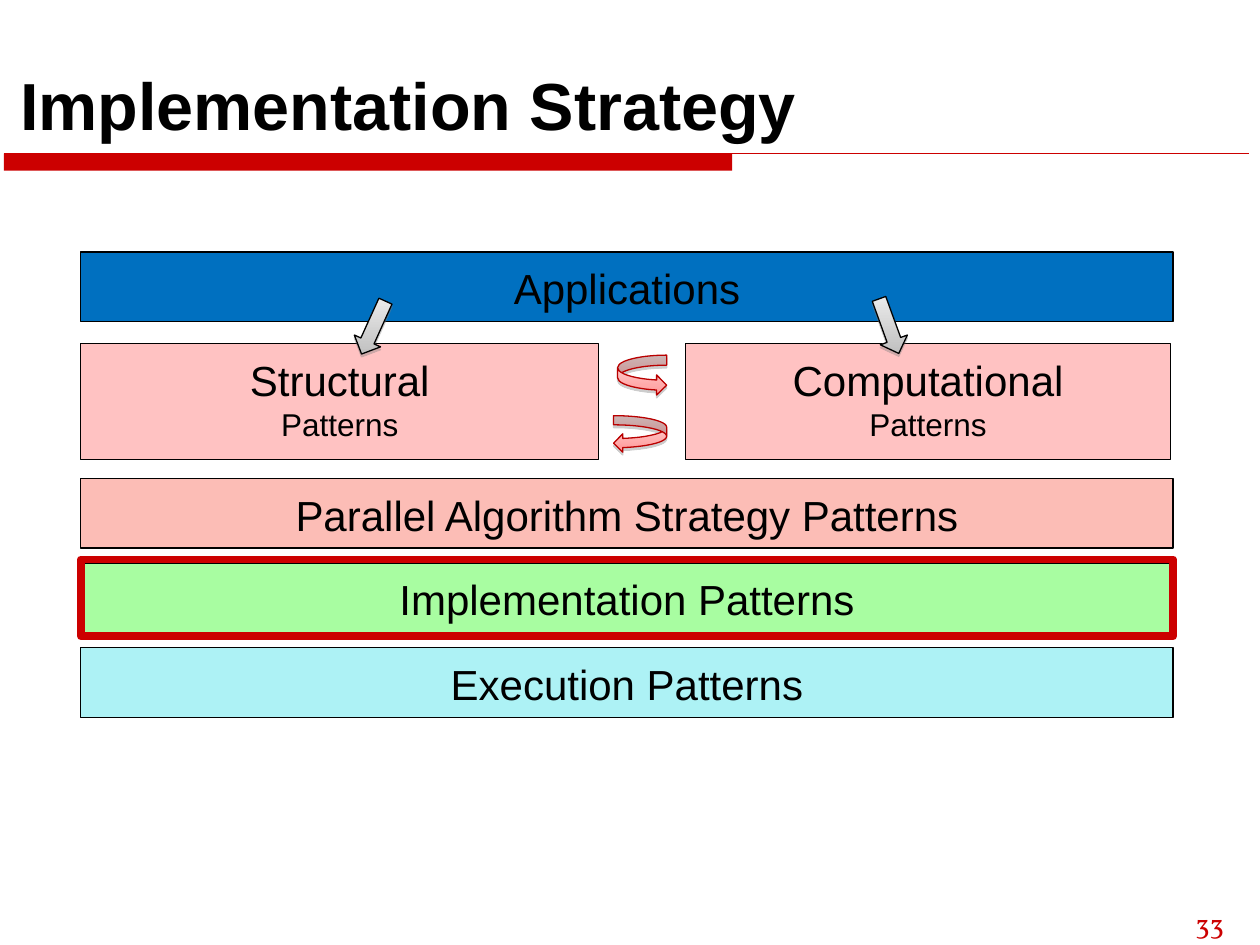
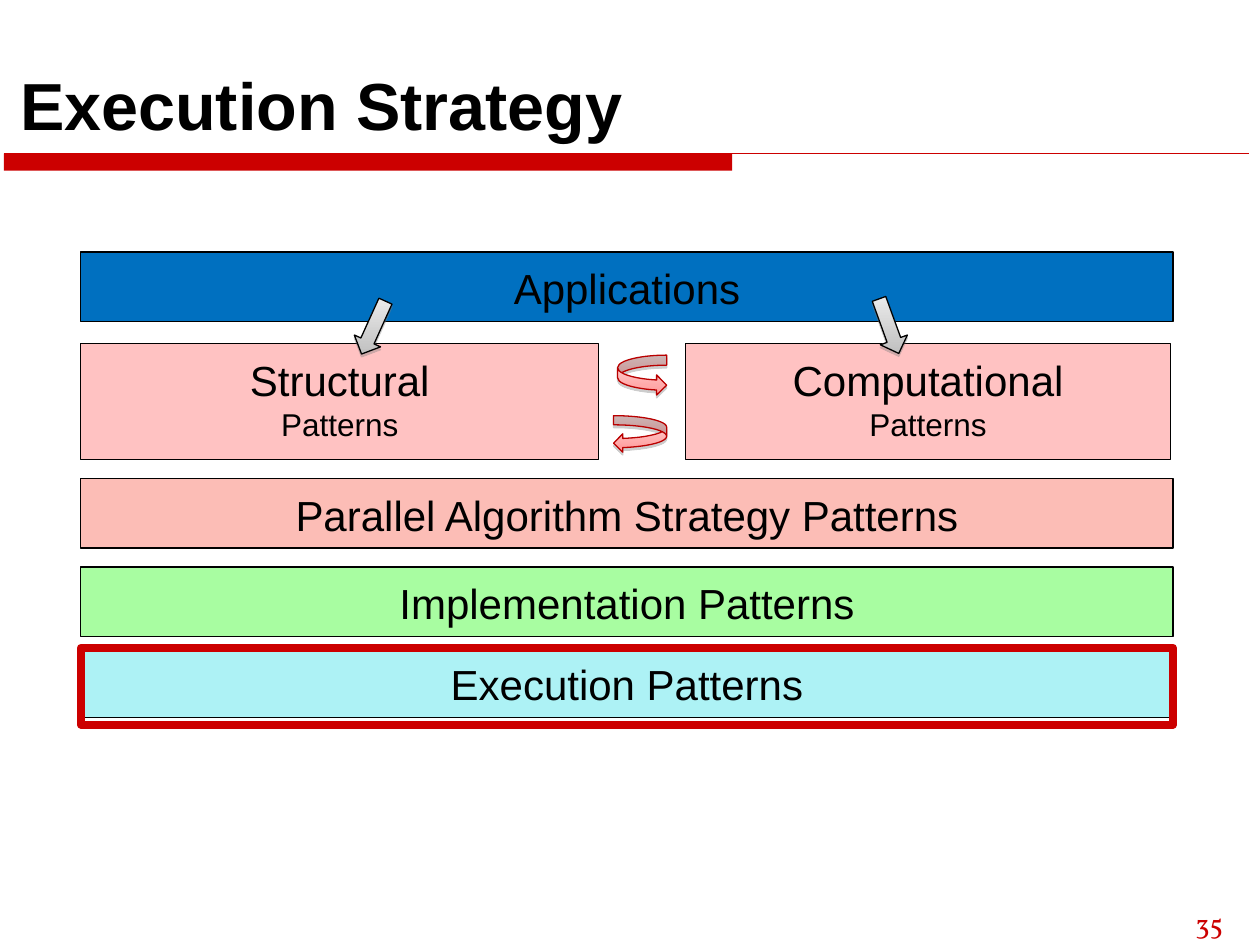
"""Builds the two pattern-layer slides on implementation and execution strategy."""
from lxml.etree import SubElement
from pptx import Presentation
from pptx.dml.color import RGBColor
from pptx.enum.shapes import MSO_CONNECTOR, MSO_SHAPE as Preset
from pptx.enum.text import MSO_ANCHOR as Anchor, MSO_AUTO_SIZE as AutoSize, PP_ALIGN as Align
from pptx.oxml.ns import qn
from pptx.util import Cm, Pt

RED, BLACK = "CC0000", "000000"
APPLICATION, PATTERN, ALGORITHM = "0070C0", "FFC2C2", "FCBDB6"
IMPLEMENTATION, EXECUTION = "A8FDA1", "ADF2F5"
GREY_FADE, PINK_FADE = ("EDEDED", "BCBCBC"), ("FFE2E2", "FF9797")
LAYER_LEFT, LAYER_WIDTH, LAYER_HEIGHT, FRAME_HEIGHT = 1.63, 22.02, 1.4, 1.55


def color(value):
    return RGBColor.from_string(value)


class StrategyDeck:
    """Holds the shared style and the slide being built."""

    def __init__(self):
        self.deck = Presentation()
        self.deck.slide_width, self.deck.slide_height = Cm(25.4), Cm(19.05)
        self.page = None

    def add_page(self, title, number):
        self.page = self.deck.slides.add_slide(self.deck.slide_layouts[5])
        self.band()
        self.page_number(number)
        self.title(title)

    def span(self, para, text, size, tint=BLACK, font="Arial", bold=False):
        span = para.add_run()
        span.text = text
        span.font.name, span.font.size, span.font.bold = font, Pt(size), bold
        span.font.color.rgb = color(tint)

    def title(self, text):
        box = self.page.shapes.title
        box.left, box.top, box.width, box.height = Cm(0.15), Cm(0.84), Cm(24.87), Cm(2.18)
        frame = box.text_frame
        frame.auto_size, frame.word_wrap = AutoSize.NONE, True
        frame.vertical_anchor = Anchor.BOTTOM
        frame.paragraphs[0].alignment = Align.LEFT
        self.span(frame.paragraphs[0], text, 38, bold=True)

    def band(self):
        self.shape(Preset.RECTANGLE, 0.08, 3.1, 14.68, 0.34, fill=RED, line=None)
        rule = self.page.shapes.add_connector(
            MSO_CONNECTOR.STRAIGHT, Cm(0.08), Cm(3.1), Cm(25.17), Cm(3.1))
        rule.line.color.rgb, rule.line.width = color(RED), Pt(0.75)
        SubElement(rule._element.spPr, qn("a:effectLst"))

    def page_number(self, number):
        box = self.page.shapes.add_textbox(Cm(23.85), Cm(18.16), Cm(1.5), Cm(0.89))
        box.text_frame.word_wrap = True
        self.span(box.text_frame.paragraphs[0], number, 16, RED, "Vollkorn")

    def shape(self, preset, left, top, width, height, fill=None, line=BLACK, weight=0.75):
        shape = self.page.shapes.add_shape(preset, Cm(left), Cm(top), Cm(width), Cm(height))
        shape.shadow.inherit = False
        if fill:
            shape.fill.solid()
            shape.fill.fore_color.rgb = color(fill)
        else:
            shape.fill.background()
        if line:
            shape.line.color.rgb, shape.line.width = color(line), Pt(weight)
        else:
            shape.line.fill.background()
        return shape

    def layer(self, lines, top, fill, left=LAYER_LEFT, width=LAYER_WIDTH, height=LAYER_HEIGHT):
        box = self.shape(Preset.RECTANGLE, left, top, width, height, fill)
        frame = box.text_frame
        frame.word_wrap, frame.vertical_anchor = True, Anchor.TOP
        frame.margin_top = Cm(0.21)
        for index, (text, size) in enumerate(lines):
            para = frame.add_paragraph() if index else frame.paragraphs[0]
            para.alignment = Align.CENTER
            self.span(para, text, size)

    def arrow(self, preset, left, top, width, height, fade, line, turn=0, angle=90):
        arrow = self.shape(preset, left, top, width, height, line=line)
        arrow.rotation = turn
        arrow.fill.gradient()
        arrow.fill.gradient_angle = 360 - angle
        for stop, tint in zip(arrow.fill.gradient_stops, fade):
            stop.color.rgb = color(tint)
        effects = arrow._element.spPr.find(qn("a:effectLst"))
        shadow = SubElement(effects, qn("a:outerShdw"), blurRad="0", dist=str(Pt(1.6)),
                            dir="5400000", rotWithShape="0")
        tone = SubElement(shadow, qn("a:srgbClr"), val="808080")
        SubElement(tone, qn("a:alpha"), val="38000")

    def highlight(self, top):
        self.shape(Preset.RECTANGLE, LAYER_LEFT, top, LAYER_WIDTH, FRAME_HEIGHT,
                   line=RED, weight=4.5)

    def pattern_stack(self, implementation_top, highlight_top):
        self.layer([("Applications", 24)], 5.08, APPLICATION)
        for name, left, width in (("Structural", LAYER_LEFT, 10.44),
                                  ("Computational", 13.82, 9.78)):
            self.layer([(name, 24), ("Patterns", 18)], 6.93, PATTERN, left, width, 2.34)
        for name, top, fill in (("Parallel Algorithm Strategy", 9.65, ALGORITHM),
                                ("Implementation", implementation_top, IMPLEMENTATION),
                                ("Execution", 13.06, EXECUTION)):
            self.layer([(f"{name} Patterns", 24)], top, fill)
        self.arrow(Preset.CURVED_RIGHT_ARROW, 12.45, 7.16, 0.99, 0.81, PINK_FADE, "B90000")
        self.arrow(Preset.CURVED_LEFT_ARROW, 12.37, 8.38, 1.07, 0.74, PINK_FADE, "B90000")
        for left, top, turn, angle in ((7.24, 6.02, 24.3, 66), (17.63, 5.99, 340.1, 110)):
            self.arrow(Preset.DOWN_ARROW, left, top, 0.58, 1.17, GREY_FADE, BLACK, turn, angle)
        self.highlight(highlight_top)


def main():
    strategy = StrategyDeck()
    for title, number, implementation_top, highlight_top in (
            ("Implementation Strategy", "33", 11.35, 11.28),
            ("Execution Strategy", "35", 11.43, 13.06)):
        strategy.add_page(title, number)
        strategy.pattern_stack(implementation_top, highlight_top)
    strategy.deck.save("out.pptx")


if __name__ == "__main__":
    main()
